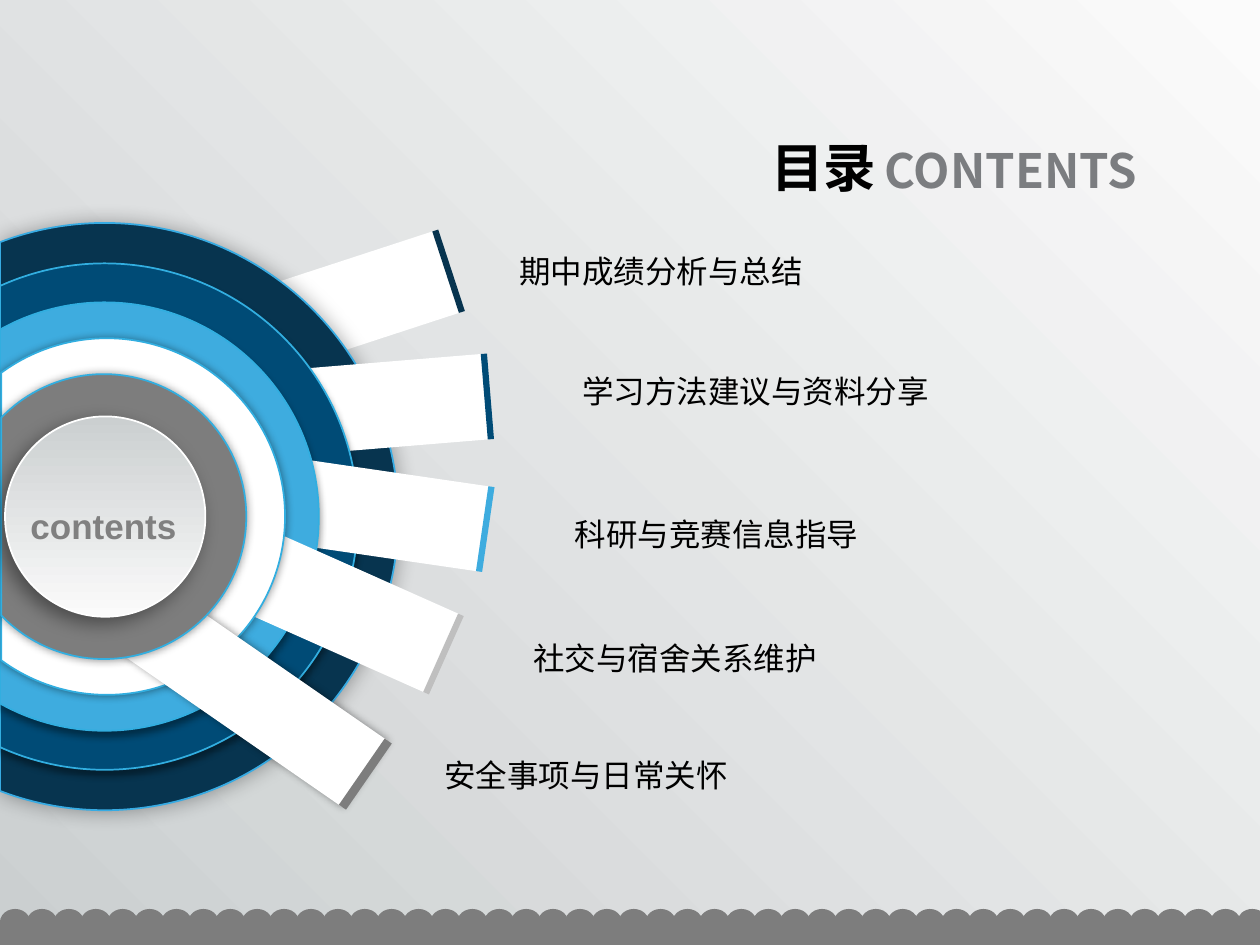
from collections import namedtuple
from itertools import pairwise
from math import acos, cos, pi, radians, sin, tan

from lxml.etree import SubElement
from pptx import Presentation
from pptx.dml.color import RGBColor
from pptx.enum.shapes import MSO_SHAPE as Preset
from pptx.enum.text import MSO_ANCHOR as Anchor, MSO_AUTO_SIZE as AutoSize, PP_ALIGN as Align
from pptx.oxml.ns import qn
from pptx.util import Pt

Box = namedtuple("Box", "left top width height")
Shadow = namedtuple("Shadow", "opacity blur distance angle")
Spoke = namedtuple("Spoke", "dx dy width height angle tip_gap tip_width shadow")
Disc = namedtuple("Disc", "dx radius left color line shadow")

CJK = "Noto Sans CJK SC"
GREY = "7D7D7D"
PALE, SILVER = "FBFBFB", "CBCFD0"

RING_SHADOW = Shadow(40, 4, 3, 90)
SOFT_SHADOW = Shadow(40, 5, 0, 0)

SPOKES = [
    Spoke(120.4, -115.3, 162, 49, 341.9, -0.9, 3.6, None),
    Spoke(141.7, -62.3, 152, 49, 355.3, 1.3, 3.6, None),
    Spoke(141, -4, 152, 49, 8.3, 1.3, 3.6, None),
    Spoke(123, 47.1, 152, 49, 24, 1.3, 3.6, None),
    Spoke(74, 95.3, 181, 46, 34.7, 0.7, 5, Shadow(40, 5, 1, 0)),
]
TIP_COLORS = ["07344F", "004B76", "3EACDF", "BFBFBF", GREY]
DISCS = [
    Disc(0, 167.8, 0, "07344F", "37ABE3", Shadow(33, 12, 0, 0)),
    Disc(0, 144.7, 0, "004B76", "32AEE0", RING_SHADOW),
    Disc(0, 122.4, 0, "3EACDF", "32AEE0", RING_SHADOW),
    Disc(1.2, 101.9, 0.7, "FFFFFF", "32AEE0", SOFT_SHADOW),
    Disc(-0.5, 81.4, 0.7, GREY, "32AEE0", SOFT_SHADOW),
]
TOPICS = [
    ("期中成绩分析与总结", 43.2, 0, 328),
    ("学习方法建议与资料分享", 79.2, 68.4, 353.5),
    ("科研与竞赛信息指导", 74.9, 150.5, 303),
    ("社交与宿舍关系维护", 51.2, 221, 286),
    ("安全事项与日常关怀", 0.4, 288, 281.5),
]


def rgb(hex_color):
    return RGBColor.from_string(hex_color)


def lengths(*points):
    return [Pt(value) for value in points]


def paint_gradient(fill, angle):
    fill.gradient()
    fill.gradient_angle = angle
    for stop, color, position in zip(fill.gradient_stops, (PALE, SILVER), (0, 1)):
        stop.color.rgb = rgb(color)
        stop.position = position


def style(shape, color=None, line=None, shadow=None):
    if color:
        shape.fill.solid()
        shape.fill.fore_color.rgb = rgb(color)
    if line:
        shape.line.color.rgb = rgb(line)
        shape.line.width = Pt(1)
    else:
        shape.line.fill.background()
    shape.shadow.inherit = False
    if shadow:
        effects = shape.element.spPr.find(qn("a:effectLst"))
        outer = SubElement(effects, qn("a:outerShdw"), blurRad=str(Pt(shadow.blur)),
                           dist=str(Pt(shadow.distance)), dir=str(shadow.angle * 60000),
                           algn="ctr", rotWithShape="0")
        tint = SubElement(outer, qn("a:srgbClr"), val="000000")
        SubElement(tint, qn("a:alpha"), val=str(shadow.opacity * 1000))


def write(shape, text, size, color="000000", font=CJK, bold=False, align=Align.LEFT, wrap=False):
    frame = shape.text_frame
    frame.word_wrap = wrap
    frame.auto_size = AutoSize.SHAPE_TO_FIT_TEXT
    frame.vertical_anchor = Anchor.TOP
    paragraph = frame.paragraphs[0]
    paragraph.alignment = align
    run = paragraph.add_run()
    run.text = text
    run.font.size = Pt(size)
    run.font.bold = bold
    run.font.color.rgb = rgb(color)
    run.font.name = font
    SubElement(run.font._element, qn("a:ea"), typeface=font)


def add_centered(shapes, preset, cx, cy, width, height):
    return shapes.add_shape(preset, *lengths(cx - width / 2, cy - height / 2, width, height))


def add_cut_ellipse(shapes, cx, cy, rx, ry, edge, side):
    def at(turn, pull=0):
        return lengths(cx + side * rx * (cos(turn) - pull * sin(turn)),
                       cy + ry * (sin(turn) + pull * cos(turn)))

    reach = acos(side * (edge - cx) / rx)
    turns = [-reach, -pi / 2, 0, pi / 2, reach]
    builder = shapes.build_freeform(*at(turns[0]))
    builder.add_line_segments([at(turn) for turn in turns[1:]], close=True)
    shape = builder.convert_to_shape()
    segments = list(shape.element.spPr.iter(qn("a:lnTo")))
    for segment, (start, end) in zip(segments, pairwise(turns)):
        pull = 4 / 3 * tan((end - start) / 4)
        segment.clear()
        curve = SubElement(segment.getparent(), qn("a:cubicBezTo"))
        for x, y in (at(start, pull), at(end, -pull), at(end)):
            SubElement(curve, qn("a:pt"), x=str(x - shape.left), y=str(y - shape.top))
        segment.getparent().replace(segment, curve)
    return shape


def add_heading(slide, box):
    title = slide.shapes.title
    title.left, title.top, title.width, title.height = lengths(box.left, box.top, 75, box.height)
    write(title, "目录", 30, bold=True)
    english = slide.shapes.add_textbox(*lengths(box.left + 65, box.top + 3.6, box.width - 65, 40.3))
    write(english, "CONTENTS", 27, color="7B7D80", bold=True)


def add_scalloped_edge(slide, box):
    shapes = slide.shapes.add_group_shape().shapes
    width, height, pitch, whole = 17.3, 15.1, 15.37, 46
    band = shapes.add_shape(Preset.RECTANGLE, *lengths(box.left, box.top + 7.2, box.width, box.height - 7.2))
    scallops = [shapes.add_shape(Preset.OVAL, *lengths(box.left + i * pitch, box.top, width, height))
                for i in range(whole)]
    last = add_cut_ellipse(shapes, box.left + whole * pitch + width / 2, box.top + height / 2,
                           width / 2, height / 2, box.left + box.width, -1)
    for part in [band, *scallops, last]:
        style(part, GREY)


def add_spoke(slide, cx, cy, spoke, tip_color):
    shapes = slide.shapes.add_group_shape().shapes
    bar_x, bar_y = cx + spoke.dx, cy + spoke.dy
    reach = spoke.width / 2 + spoke.tip_gap
    turn = radians(spoke.angle)
    bar = add_centered(shapes, Preset.RECTANGLE, bar_x, bar_y, spoke.width, spoke.height)
    tip = add_centered(shapes, Preset.RECTANGLE, bar_x + reach * cos(turn), bar_y + reach * sin(turn),
                       spoke.tip_width, spoke.height)
    bar.rotation = tip.rotation = spoke.angle
    style(bar, "FFFFFF", shadow=spoke.shadow)
    style(tip, tip_color)


def add_fan(slide, box):
    cx, cy = box.left + 59.8, box.top + box.height / 2
    for spoke, tip_color, disc in zip(SPOKES, TIP_COLORS, DISCS):
        add_spoke(slide, cx, cy, spoke, tip_color)
        ring = add_cut_ellipse(slide.shapes, cx + disc.dx, cy, disc.radius, disc.radius,
                               box.left + disc.left, 1)
        style(ring, disc.color, disc.line, disc.shadow)
    hub = add_centered(slide.shapes, Preset.OVAL, cx + 0.3, cy, 114.5, 114.5)
    paint_gradient(hub.fill, 90)
    style(hub, line="FFFFFF", shadow=Shadow(40, 11, 5, 135))
    caption = slide.shapes.add_textbox(*lengths(cx - 54.6, cy - 10.4, 108, 31.7))
    write(caption, "contents", 20, color="808080", font="Arial", bold=True, align=Align.CENTER)


def add_topics(slide, box):
    for topic, dx, dy, width in TOPICS:
        label = slide.shapes.add_textbox(*lengths(box.left + dx, box.top + dy, width, 29))
        write(label, topic, 18, wrap=True)


def main():
    deck = Presentation()
    deck.slide_width, deck.slide_height = lengths(720, 540)
    slide = deck.slides.add_slide(deck.slide_layouts[5])
    paint_gradient(slide.background.fill, 225)
    add_heading(slide, Box(433.4, 73.4, 232, 44))
    add_scalloped_edge(slide, Box(0, 519.4, 720, 20.6))
    add_fan(slide, Box(0, 127.4, 281, 335.6))
    add_topics(slide, Box(246.5, 140.4, 433, 317))
    deck.save("out.pptx")


if __name__ == "__main__":
    main()
